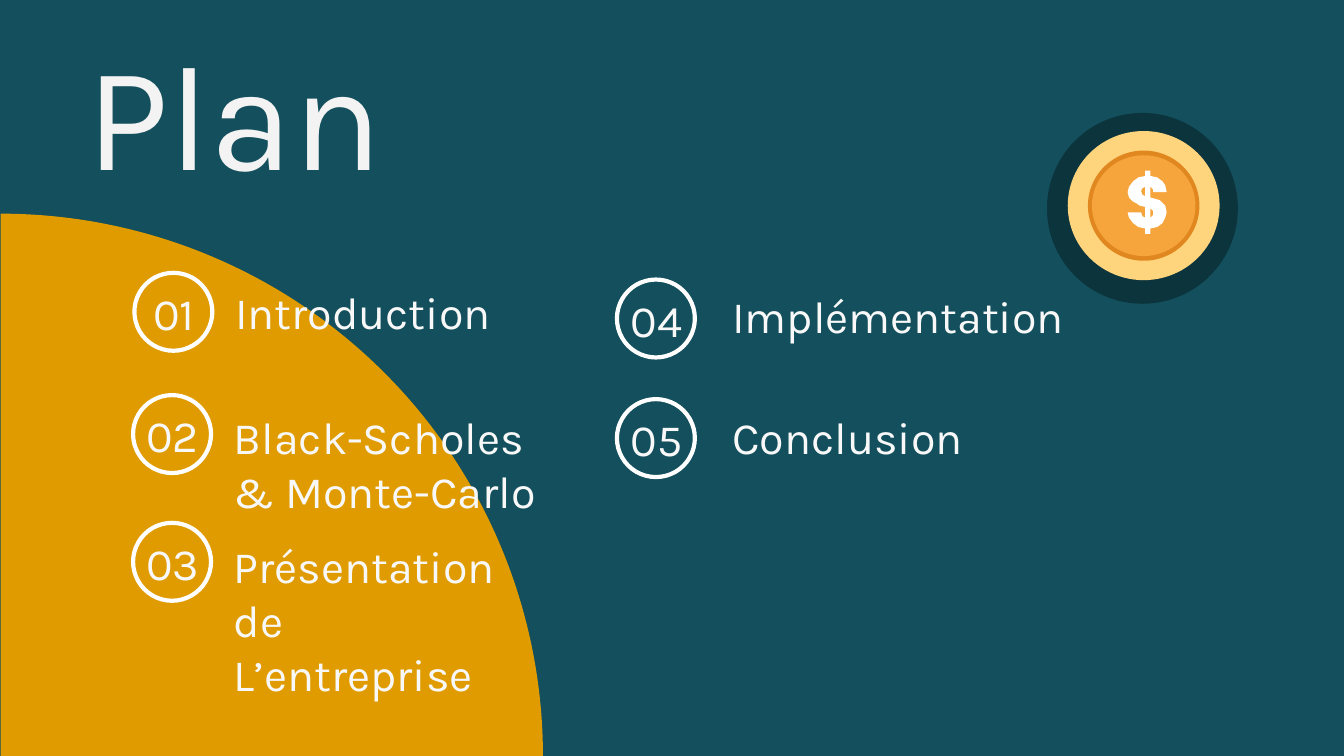
from pptx import Presentation
from pptx.dml.color import RGBColor
from pptx.enum.shapes import MSO_SHAPE as Shape
from pptx.enum.text import MSO_ANCHOR as Anchor, MSO_AUTO_SIZE as AutoSize, PP_ALIGN as Align
from pptx.util import Inches, Pt

TEAL = RGBColor(0x13, 0x4F, 0x5C)
DARK_TEAL = RGBColor(0x0C, 0x34, 0x3D)
OCHRE = RGBColor(0xE0, 0x9B, 0x00)
PALE_GOLD = RGBColor(0xFE, 0xD5, 0x7D)
COIN_EDGE = RGBColor(0xE1, 0x87, 0x1F)
COIN_FACE = RGBColor(0xF6, 0xA5, 0x3C)
WHITE = RGBColor(0xFF, 0xFF, 0xFF)
OFF_WHITE = RGBColor(0xF8, 0xF8, 0xF8)
TITLE_GREY = RGBColor(0xF3, 0xF3, 0xF3)

ITEMS = [
    ("01", ["Introduction"], (1.00, 2.03), (0.75, 0.09), 2.36),
    ("02", ["Black-Scholes", "& Monte-Carlo"], (0.99, 2.94), (0.75, 0.11), 3.52),
    ("03", ["Présentation de", "L’entreprise"], (0.99, 3.89), (0.75, 0.12), 2.31),
    ("04", ["Implémentation"], (4.59, 2.08), (0.86, 0.07), 3.60),
    ("05", ["Conclusion"], (4.59, 2.97), (0.86, 0.08), 2.31),
]

DOLLAR_CONTOURS = [
    [(13, 12), (13, 19), (11, 18), (10, 15), (11, 13)],
    [(17, 28), (19, 30), (19, 33), (17, 35)],
    [(13, 0), (13, 4), (8, 5), (4, 8), (1, 12), (0, 16), (1, 20), (3, 22), (4, 23),
     (6, 24), (9, 26), (13, 27), (13, 35), (11, 34), (10, 31), (0, 31), (1, 35), (4, 39),
     (8, 42), (13, 43), (13, 47), (17, 47), (17, 43), (22, 42), (26, 39), (28, 35),
     (29, 31), (28, 26), (24, 22), (17, 20), (17, 12), (19, 14), (19, 16), (29, 16),
     (28, 11), (26, 8), (22, 5), (17, 4), (17, 0)],
]


def paint(shape, fill=None, line=None):
    """Give a shape a flat fill or outline and no shadow."""
    shape.shadow.inherit = False
    if fill is None:
        shape.fill.background()
    else:
        shape.fill.solid()
        shape.fill.fore_color.rgb = fill
    if line is None:
        shape.line.fill.background()
    else:
        shape.line.color.rgb = line
        shape.line.width = Pt(2.25)


def add_preset(page, kind, box, fill=None, line=None):
    """Add a painted preset shape in a box of inches."""
    shape = page.shapes.add_shape(kind, *map(Inches, box))
    paint(shape, fill, line)
    return shape


def write(shape, lines, size, color, align=Align.LEFT, anchor=Anchor.TOP, inset=0):
    """Write one paragraph per line with a common format."""
    frame = shape.text_frame
    margin = Inches(inset)
    layout = {"word_wrap": True, "auto_size": AutoSize.NONE, "vertical_anchor": anchor,
              "margin_left": margin, "margin_top": margin,
              "margin_right": margin, "margin_bottom": margin}
    for name, value in layout.items():
        setattr(frame, name, value)
    frame.text = "\n".join(lines)
    for para in frame.paragraphs:
        para.alignment = align
        for span in para.runs:
            for name, value in {"name": "Karla", "size": Pt(size), "bold": False}.items():
                setattr(span.font, name, value)
            span.font.color.rgb = color


def add_title(page, box):
    """Place the page title."""
    title = page.shapes.title
    for name, value in zip(("left", "top", "width", "height"), box):
        setattr(title, name, Inches(value))
    write(title, ["Plan"], 80, TITLE_GREY, anchor=Anchor.BOTTOM, inset=0.1)


def add_backdrop(page, box):
    """Draw the large quarter disc in the lower left corner."""
    disc = add_preset(page, Shape.PIE, box, OCHRE)
    disc.adjustments[0] = 0
    disc.adjustments[1] = 54.26
    disc.rotation = 270


def add_item(page, number, lines, corner, label_offset, label_width):
    """Place a ringed number and its label from the ring's corner."""
    left, top = corner
    add_preset(page, Shape.OVAL, (left, top, 0.58, 0.58), line=WHITE)
    number_box = page.shapes.add_textbox(
        *map(Inches, (left - 0.08, top + 0.08, 0.75, 0.43)))
    write(number_box, [number], 24, OFF_WHITE, Align.CENTER, Anchor.MIDDLE)
    label = page.shapes.add_textbox(
        *map(Inches, (left + label_offset[0], top + label_offset[1], label_width, 0.39)))
    write(label, lines, 24, OFF_WHITE)


def add_coin(page, left, top, size):
    """Draw the coin with its ring and dollar sign in a square box."""
    ring = add_preset(page, Shape.DONUT, (left, top, size, size), DARK_TEAL)
    ring.adjustments[0] = 0.13
    center_x, center_y = left + 0.72, top + 0.69
    for width, height, color in ((1.13, 1.11, PALE_GOLD), (0.83, 0.82, COIN_EDGE),
                                 (0.77, 0.75, COIN_FACE)):
        add_preset(page, Shape.OVAL,
                   (center_x - width / 2, center_y - height / 2, width, height), color)
    first, *others = DOLLAR_CONTOURS
    builder = page.shapes.build_freeform(*first[0], scale=Inches(0.01))
    builder.add_line_segments(first[1:])
    for start, *rest in others:
        builder.move_to(*start)
        builder.add_line_segments(rest)
    paint(builder.convert_to_shape(Inches(left + 0.6), Inches(top + 0.43)), WHITE)


def main():
    """Build the plan page and save the deck."""
    deck = Presentation()
    deck.slide_width, deck.slide_height = Inches(10), Inches(10 * 9 / 16)
    page = deck.slides.add_slide(deck.slide_layouts[5])
    page.background.fill.solid()
    page.background.fill.fore_color.rgb = TEAL
    add_backdrop(page, (-4.03, 1.59, 8.07, 8.07))
    add_title(page, (0.54, 0.75, 2.65, 0.84))
    for item in ITEMS:
        add_item(page, *item)
    add_coin(page, 7.79, 0.84, 1.42)
    deck.save("out.pptx")


if __name__ == "__main__":
    main()
